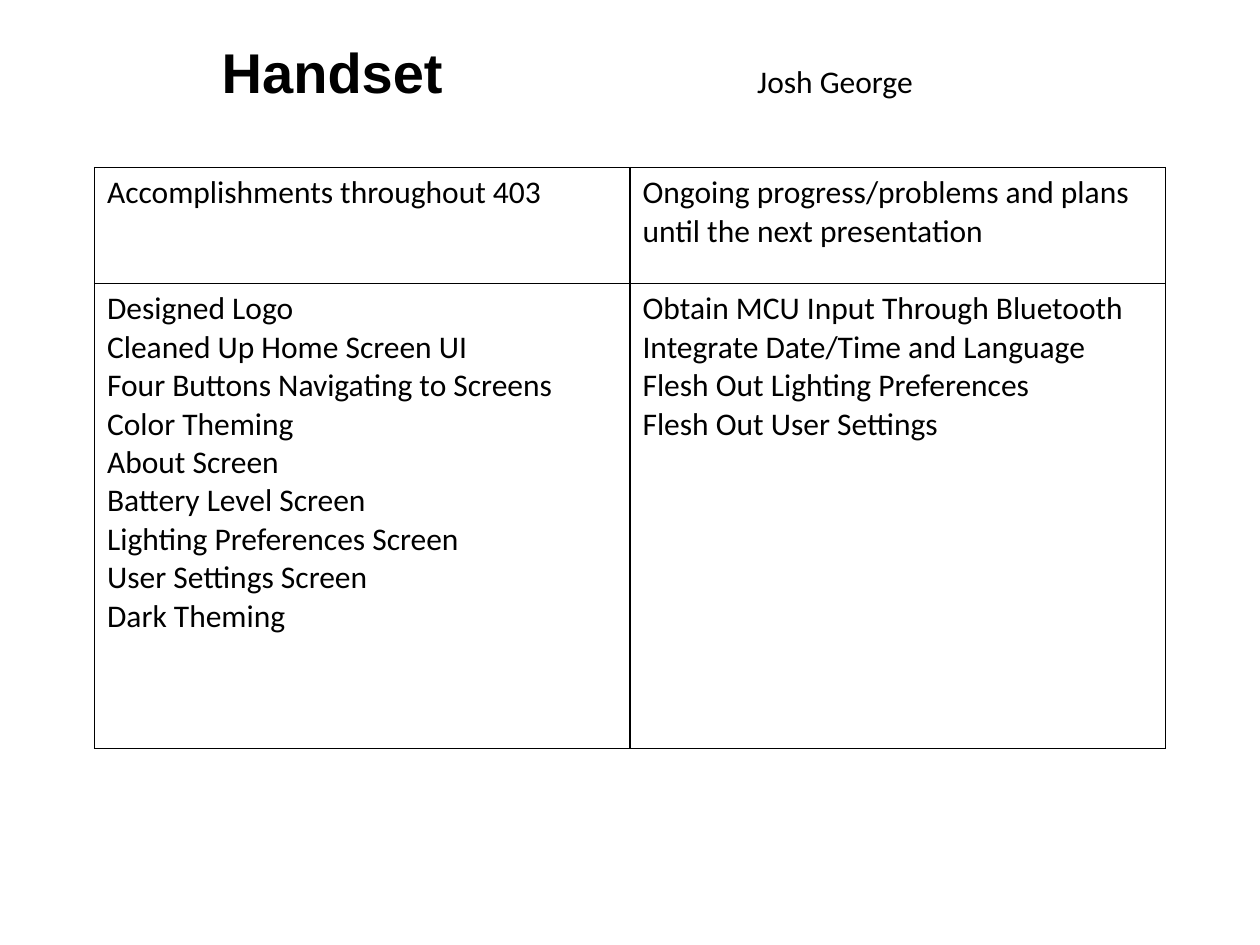
from lxml.etree import SubElement
from pptx import Presentation
from pptx.dml.color import RGBColor
from pptx.oxml.ns import qn
from pptx.util import Inches, Pt

BLACK = "000000"
BORDER_SIDES = ("a:lnL", "a:lnR", "a:lnT", "a:lnB")
HEADINGS = [
    ["Accomplishments throughout 403"],
    ["Ongoing progress/problems and plans until the next presentation"],
]
ITEMS = [
    [
        "Designed Logo",
        "Cleaned Up Home Screen UI",
        "Four Buttons Navigating to Screens",
        "Color Theming",
        "About Screen",
        "Battery Level Screen",
        "Lighting Preferences Screen",
        "User Settings Screen",
        "Dark Theming",
    ],
    [
        "Obtain MCU Input Through Bluetooth",
        "Integrate Date/Time and Language",
        "Flesh Out Lighting Preferences",
        "Flesh Out User Settings",
    ],
]


def rgb(color):
    return RGBColor.from_string(color)


def style_font(font, name, size, bold=False):
    font.name = name
    font.size = Pt(size)
    font.bold = bold
    font.color.rgb = rgb(BLACK)


def add_tab_stop(para, position):
    tabs = SubElement(para._p.get_or_add_pPr(), qn("a:tabLst"))
    SubElement(tabs, qn("a:tab"), pos=str(position), algn="l")


def add_title(page, topic, presenter):
    """Put the topic and, after a tab, the presenter on one line."""
    box = page.shapes.add_textbox(Inches(0.42), Inches(0.25), Inches(9.17), Inches(0.64))
    frame = box.text_frame
    frame.word_wrap = True
    frame.margin_left = Inches(1.34)
    para = frame.paragraphs[0]
    add_tab_stop(para, Inches(4.25))
    for text, name, size, bold in (
        (topic, "Arial", 32, True),
        ("\t" + presenter, "Calibri", 18, False),
    ):
        span = para.add_run()
        span.text = text
        style_font(span.font, name, size, bold)


def add_borders(cell):
    properties = cell._tc.get_or_add_tcPr()
    for index, side in enumerate(BORDER_SIDES):
        line = properties.makeelement(qn(side), {"w": str(Pt(1))})
        fill = SubElement(line, qn("a:solidFill"))
        SubElement(fill, qn("a:srgbClr"), val=BLACK)
        properties.insert(index, line)


def fill_cell(cell, lines):
    cell.fill.background()
    add_borders(cell)
    cell.text = "\n".join(lines)
    for para in cell.text_frame.paragraphs:
        style_font(para.font, "Calibri", 18)


def add_progress_table(page, rows, heights):
    frame = page.shapes.add_table(
        len(rows), len(rows[0]), Inches(0.75), Inches(1.33), Inches(8.5), Inches(sum(heights))
    )
    table = frame.table
    table.first_row = False
    table.horz_banding = False
    for row, height, contents in zip(table.rows, heights, rows):
        row.height = Inches(height)
        for cell, lines in zip(row.cells, contents):
            fill_cell(cell, lines)


def main():
    deck = Presentation()
    deck.slide_width = Inches(10)
    deck.slide_height = Inches(7.5)
    page = deck.slides.add_slide(deck.slide_layouts[6])
    add_title(page, "Handset", "Josh George")
    add_progress_table(page, [HEADINGS, ITEMS], [0.92, 3.69])
    deck.save("out.pptx")


if __name__ == "__main__":
    main()
